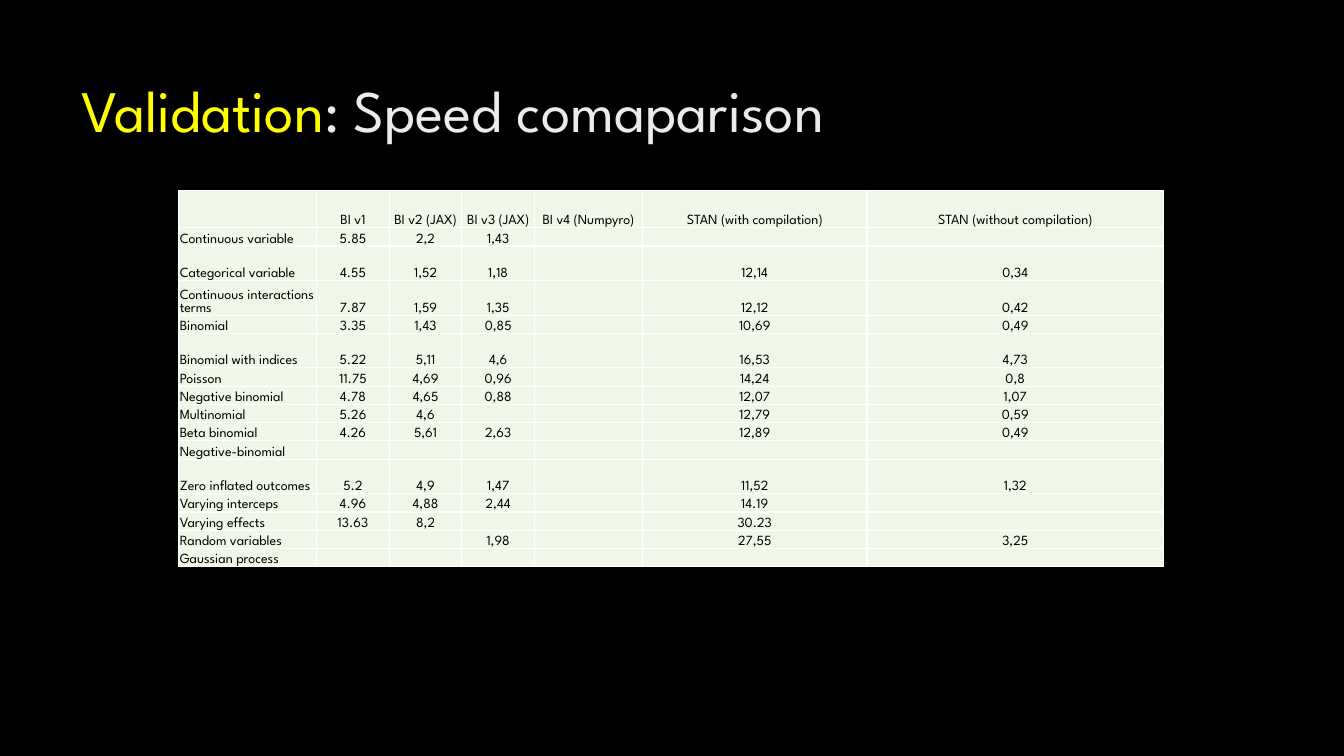
from lxml.etree import SubElement as Sub
from pptx import Presentation
from pptx.dml.color import RGBColor
from pptx.enum.text import MSO_ANCHOR as Anchor, PP_ALIGN as Align
from pptx.oxml.ns import qn
from pptx.util import Cm, Pt

HEAD = ["", "BI v1", "BI v2 (JAX)", "BI v3 (JAX)", "BI v4 (Numpyro)",
        "STAN (with compilation)", "STAN (without compilation)"]
ROWS = [
    ["Continuous variable", "5.85", "2,2", "1,43", "", "", ""],
    ["Categorical variable", "4.55", "1,52", "1,18", "", "12,14", "0,34"],
    ["Continuous interactions terms", "7.87", "1,59", "1,35", "", "12,12", "0,42"],
    ["Binomial", "3.35", "1,43", "0,85", "", "10,69", "0,49"],
    ["Binomial with indices", "5.22", "5,11", "4,6", "", "16,53", "4,73"],
    ["Poisson", "11.75", "4,69", "0,96", "", "14,24", "0,8"],
    ["Negative binomial", "4.78", "4,65", "0,88", "", "12,07", "1,07"],
    ["Multinomial", "5.26", "4,6", "", "", "12,79", "0,59"],
    ["Beta binomial", "4.26", "5,61", "2,63", "", "12,89", "0,49"],
    ["Negative-binomial", "", "", "", "", "", ""],
    ["Zero inflated outcomes", "5.2", "4,9", "1,47", "", "11,52", "1,32"],
    ["Varying interceps", "4.96", "4,88", "2,44", "", "14.19", ""],
    ["Varying effects", "13.63", "8,2", "", "", "30.23", ""],
    ["Random variables", "", "", "1,98", "", "27,55", "3,25"],
    ["Gaussian process", "", "", "", "", "", ""],
]
WIDTHS = [3.48, 1.83, 1.83, 1.83, 2.72, 5.66, 7.47]
TALL = {2, 3, 5, 11}


def tint(code):
    return RGBColor.from_string(code)


class Deck:
    face = "League Spartan"
    back, pale, rule, ink = "000000", "F1F7E8", "FFFFFF", "000000"

    def __init__(self):
        self.prs = Presentation()
        self.prs.slide_width, self.prs.slide_height = Cm(33.87), Cm(19.05)

    def page(self):
        self.slide = self.prs.slides.add_slide(self.prs.slide_layouts[5])
        fill = self.slide.background.fill
        fill.solid()
        fill.fore_color.rgb = tint(self.back)

    def style(self, run, size, color):
        run.font.name, run.font.size = self.face, Pt(size)
        run.font.color.rgb = tint(color)

    def title(self, parts, left, top, width, height):
        box = self.slide.shapes.title
        box.left, box.top, box.width, box.height = map(Cm, (left, top, width, height))
        frame = box.text_frame
        frame.vertical_anchor, frame.margin_top = Anchor.TOP, Cm(0.58)
        para = frame.paragraphs[0]
        para.alignment = Align.LEFT
        for text, color in parts:
            run = para.add_run()
            run.text = text
            self.style(run, 42, color)

    def cell(self, cell, text, align):
        cell.vertical_anchor = Anchor.BOTTOM
        cell.margin_left = cell.margin_right = cell.margin_top = Cm(0.03)
        cell.margin_bottom = 0
        para = cell.text_frame.paragraphs[0]
        para.text = text
        para.alignment = align
        for run in para.runs:
            self.style(run, 10, self.ink)
        if not text:
            # An empty cell needs a small end mark to keep its row low
            Sub(para._p, qn("a:endParaRPr"), sz="1000")
        # Borders come before the fill in the cell properties
        props = cell._tc.get_or_add_tcPr()
        for side in "LRTB":
            line = Sub(props, qn(f"a:ln{side}"), w=str(Pt(1)))
            Sub(Sub(line, qn("a:solidFill")), qn("a:srgbClr"), val=self.rule)
        cell.fill.solid()
        cell.fill.fore_color.rgb = tint(self.pale)

    def table(self, rows, widths, heights, left, top):
        size = map(Cm, (left, top, sum(widths), sum(heights)))
        grid = self.slide.shapes.add_table(len(rows), len(widths), *size).table
        grid.first_row = grid.horz_banding = False
        for col, width in zip(grid.columns, widths):
            col.width = Cm(width)
        for row, height, texts in zip(grid.rows, heights, rows):
            row.height = Cm(height)
            for i, (cell, text) in enumerate(zip(row.cells, texts)):
                self.cell(cell, text, Align.CENTER if i else Align.LEFT)


def main():
    deck = Deck()
    deck.page()

    # Title
    deck.title([("Validation", "FFFF00"), (": Speed comaparison", "EBEBEB")],
               1.8, 1.27, 26.14, 3.89)

    # Run times by model and version
    rows = [HEAD] + ROWS
    heights = [0.94] + [0.87 if i in TALL else 0.46 for i in range(1, len(rows))]
    deck.table(rows, WIDTHS, heights, 4.5, 4.8)

    deck.prs.save("out.pptx")


if __name__ == "__main__":
    main()
